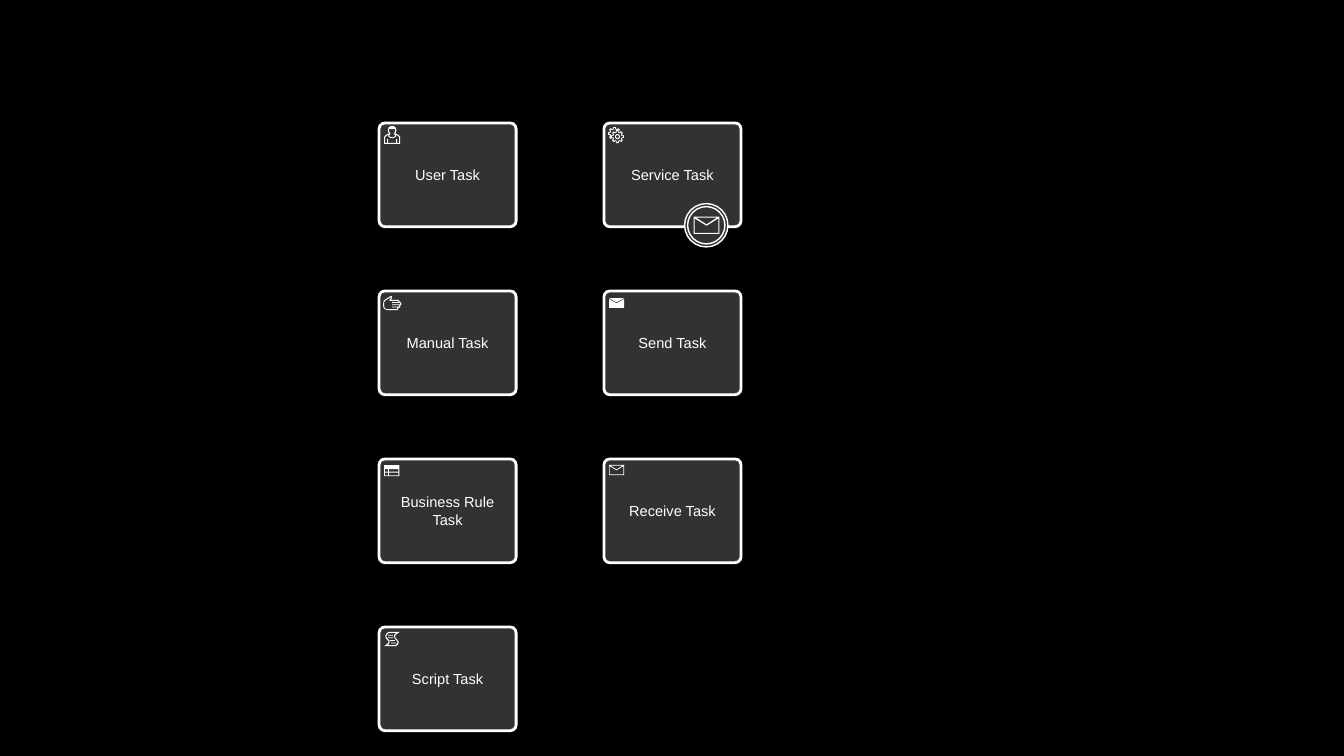
import math
from dataclasses import dataclass

import pptx
import pptx.dml.color
import pptx.enum.shapes
import pptx.enum.text
import pptx.util

Inches = pptx.util.Inches
MSO_SHAPE = pptx.enum.shapes.MSO_SHAPE


@dataclass(frozen=True)
class Theme:
    back: str = "000000"
    panel: str = "323232"
    ink: str = "FFFFFF"
    font: str = "Arial"
    label_size: float = 10.4
    task_line: float = 2
    event_line: float = 1


THEME = Theme()
LEFT, TOP = 3.76, 1.22
COL_STEP, ROW_STEP = 2.23, 5 / 3
TASK_W, TASK_H = 1.36, 1.03
MIL = Inches(1) / 1000


def paint(fill, color):
    fill.solid()
    fill.fore_color.rgb = pptx.dml.color.RGBColor.from_string(color)


def add_outlined(s, kind, x, y, w, h, line_width, filled=True):
    sp = s.shapes.add_shape(kind, Inches(x), Inches(y), Inches(w), Inches(h))
    sp.shadow.inherit = False
    if filled:
        paint(sp.fill, THEME.panel)
    else:
        sp.fill.background()
    paint(sp.line.fill, THEME.ink)
    sp.line.width = pptx.util.Pt(line_width)
    return sp


def add_icon(s, x, y, contours):
    first, *others = contours
    builder = s.shapes.build_freeform(*first[0], scale=MIL)
    builder.add_line_segments(first[1:], close=True)
    for contour in others:
        builder.move_to(*contour[0])
        builder.add_line_segments(contour[1:], close=True)
    sp = builder.convert_to_shape(Inches(x), Inches(y))
    sp.shadow.inherit = False
    paint(sp.fill, THEME.ink)
    sp.line.fill.background()


def add_task(s, col, row, label, icon, dx, dy):
    x, y = LEFT + col * COL_STEP, TOP + row * ROW_STEP
    sp = add_outlined(s, MSO_SHAPE.ROUNDED_RECTANGLE, x, y, TASK_W, TASK_H,
                      THEME.task_line)
    sp.adjustments[0] = 0.057
    tf = sp.text_frame
    tf.word_wrap = True
    tf.vertical_anchor = pptx.enum.text.MSO_ANCHOR.MIDDLE
    tf.margin_left = tf.margin_right = Inches(0.06)
    tf.margin_top = tf.margin_bottom = 0
    p = tf.paragraphs[0]
    p.alignment = pptx.enum.text.PP_ALIGN.CENTER
    r = p.add_run()
    r.text = label
    r.font.name = THEME.font
    r.font.size = pptx.util.Pt(THEME.label_size)
    paint(r.font.fill, THEME.ink)
    add_icon(s, x + dx, y + dy, icon)


def add_message_event(s, x, y, size):
    gap = 0.03
    inner = size - 2 * gap
    add_outlined(s, MSO_SHAPE.OVAL, x, y, size, size, THEME.event_line)
    add_outlined(s, MSO_SHAPE.OVAL, x + gap, y + gap, inner, inner,
                 THEME.event_line, filled=False)
    add_icon(s, x + 0.09, y + 0.13, open_envelope(255, 170, 10))


def box(x, y, w, h):
    return [(x, y), (x + w, y), (x + w, y + h), (x, y + h)]


def mirrored(half, width):
    return half + [(width - x, y) for x, y in reversed(half)]


def open_envelope(w, h, t):
    mid = w / 2
    body = [(t, 1.8 * t), (t, h - t), (w - t, h - t), (w - t, 1.8 * t),
            (mid, 0.53 * h)]
    flap = [(2.5 * t, t), (mid, 0.45 * h), (w - 2.5 * t, t)]
    return [box(0, 0, w, h), body, flap]


def closed_envelope():
    body = [(0, 10), (75, 53), (150, 10), (150, 98), (0, 98)]
    return [body, [(0, 0), (150, 0), (75, 43)]]


def table_icon():
    cells = [box(x, y, w, 27) for y in (40, 75) for x, w in ((8, 32), (48, 94))]
    return [box(0, 0, 150, 110)] + cells


def polar(center, radius, degrees):
    a = math.radians(degrees)
    return (center[0] + radius * math.cos(a), center[1] + radius * math.sin(a))


def gear_edge(center, tip, root, half_angle, teeth):
    corners = [(root, -half_angle - 2), (tip, -half_angle),
               (tip, half_angle), (root, half_angle + 2)]
    return [polar(center, radius, 45 * tooth + offset)
            for tooth in teeth for radius, offset in corners]


def gears():
    front, back = (94, 96), (65, 65)
    outer, inner = (65, 51, 12), (55, 42, 7)
    visible = range(3, 8)
    rear = gear_edge(back, *outer, visible) + gear_edge(back, *inner, visible)[::-1]
    rims = [gear_edge(front, *edge, range(8)) for edge in (outer, inner)]
    hub = [[polar(front, radius, a) for a in range(0, 360, 20)] for radius in (25, 15)]
    return [rear] + rims + hub


def person():
    outline = [(0, 177), (0, 110), (14, 92), (32, 81), (50, 76), (40, 58),
               (38, 38), (46, 14), (60, 4), (80, 0)]
    coat = [(40, 167), (40, 130), (31, 130), (31, 167), (10, 167), (10, 115),
            (22, 98), (40, 89), (40, 102), (50, 113), (80, 122)]
    face = [(80, 113), (58, 106), (48, 98), (53, 88), (62, 82), (62, 74),
            (54, 62), (50, 45), (50, 34), (56, 28), (72, 30), (80, 32)]
    return [mirrored(half, 160) for half in (outline, coat, face)]


def hand():
    outline = [(75, 0), (86, 3), (90, 15), (82, 32), (78, 40), (150, 40),
               (161, 45), (163, 58), (172, 60), (180, 72), (180, 85), (172, 92),
               (170, 108), (160, 117), (152, 118), (150, 132), (142, 140),
               (38, 140), (15, 130), (3, 115), (0, 90), (2, 60), (8, 45), (20, 35)]
    palm = [(80, 10), (20, 47), (11, 62), (9, 90), (12, 112), (22, 126),
            (40, 131), (138, 131), (142, 124), (140, 114), (90, 114), (90, 105),
            (156, 105), (161, 98), (160, 91), (90, 91), (90, 83), (165, 83),
            (171, 76), (168, 69), (90, 69), (90, 61), (150, 61), (153, 54),
            (150, 49), (70, 49), (62, 43), (66, 34), (78, 22)]
    return [outline, palm]


def scroll():
    outline = [(45, 0), (155, 0), (138, 12), (115, 28), (108, 42), (113, 58),
               (125, 70), (140, 88), (145, 105), (140, 120), (125, 135),
               (110, 140), (0, 140), (18, 128), (37, 112), (45, 102), (42, 90),
               (30, 76), (17, 60), (12, 42), (20, 22), (32, 8)]
    paper = [(48, 9), (30, 25), (22, 42), (27, 57), (40, 71), (53, 88),
             (55, 103), (48, 118), (35, 131), (110, 131), (125, 120), (134, 105),
             (130, 90), (116, 75), (102, 58), (97, 42), (104, 24), (120, 9)]
    lines = [box(x, y, 50, 7) for x, y in ((38, 28), (38, 53), (57, 80), (70, 106))]
    return [outline, paper] + lines


def main():
    prs = pptx.Presentation()
    prs.slide_width, prs.slide_height = Inches(13.33), Inches(7.5)
    s = prs.slides.add_slide(prs.slide_layouts[6])
    paint(s.background.fill, THEME.back)
    columns = [
        [("User Task", person(), 0.05, 0.03),
         ("Manual Task", hand(), 0.04, 0.05),
         ("Business Rule Task", table_icon(), 0.05, 0.06),
         ("Script Task", scroll(), 0.05, 0.05)],
        [("Service Task", gears(), 0.04, 0.04),
         ("Send Task", closed_envelope(), 0.05, 0.07),
         ("Receive Task", open_envelope(150, 100, 6), 0.05, 0.06)],
    ]
    for col, tasks in enumerate(columns):
        for row, task in enumerate(tasks):
            add_task(s, col, row, *task)
    add_message_event(s, 6.79, 2.02, 0.43)
    prs.save("out.pptx")


main()
